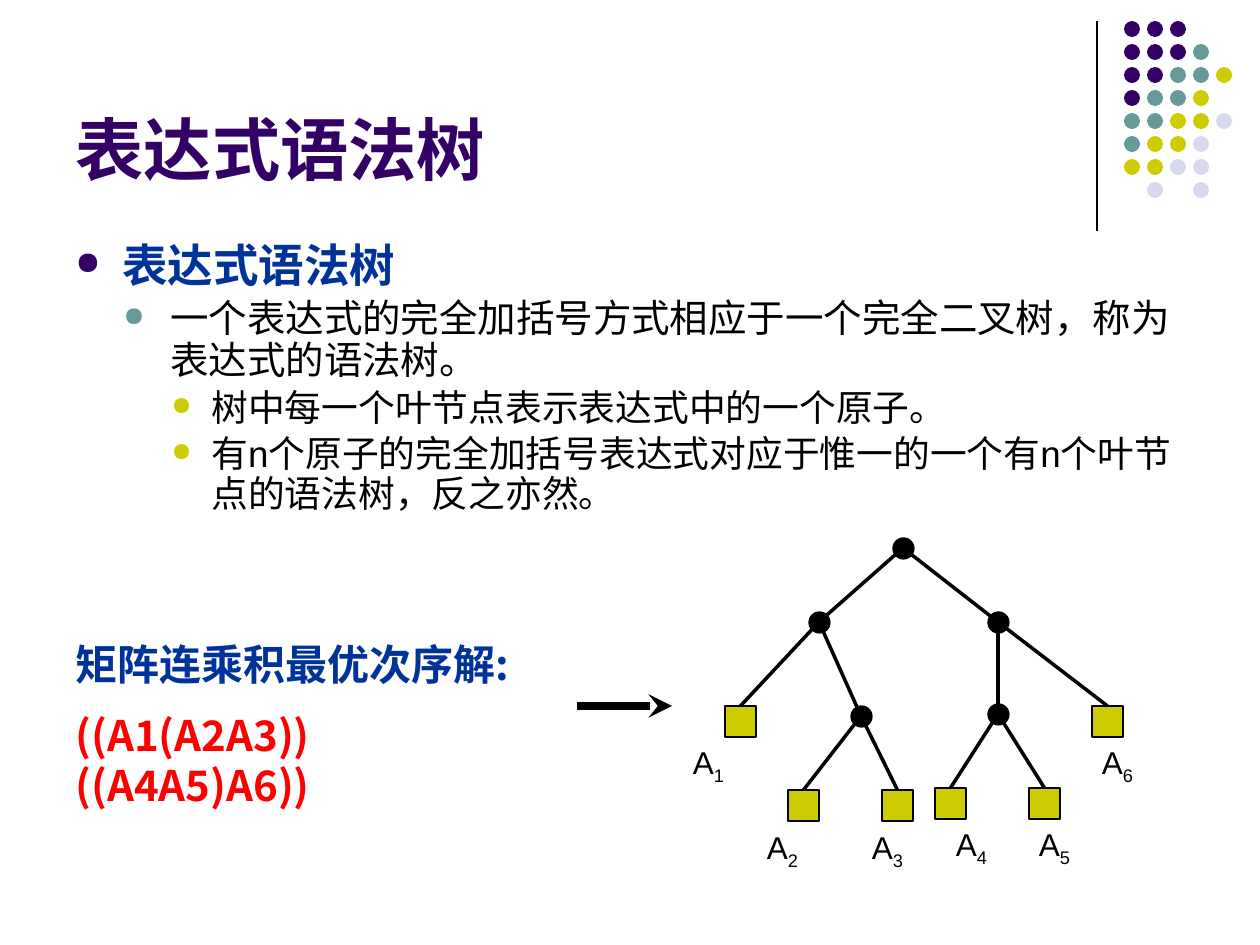
from lxml.etree import SubElement
from pptx import Presentation
from pptx.dml.color import RGBColor
from pptx.enum.shapes import MSO_CONNECTOR as CONNECTOR, MSO_SHAPE as SHAPE
from pptx.enum.text import MSO_ANCHOR as ANCHOR, MSO_AUTO_SIZE as AUTO_SIZE, PP_ALIGN as ALIGN
from pptx.oxml.ns import qn
from pptx.util import Inches, Pt

PX = 914400 // 126  # EMU per px
PURPLE = RGBColor(0x33, 0x00, 0x66)
TEAL = RGBColor(0x66, 0x99, 0x99)
OLIVE = RGBColor(0xCC, 0xCC, 0x00)
LAVENDER = RGBColor(0xD8, 0xD8, 0xEC)
BLUE = RGBColor(0x00, 0x33, 0x99)
RED = RGBColor(0xFF, 0x00, 0x00)
BLACK = RGBColor(0x00, 0x00, 0x00)
LATIN = "Arial"
CJK = "Noto Sans CJK SC"

presentation = Presentation()
presentation.slide_width, presentation.slide_height = Inches(10), Inches(7.5)
slide = presentation.slides.add_slide(presentation.slide_layouts[5])
shapes = slide.shapes


def add_filled(kind, left, top, size, color, outlined=True):
    shape = shapes.add_shape(kind, left * PX, top * PX, size * PX, size * PX)
    shape.shadow.inherit = False
    shape.fill.solid()
    shape.fill.fore_color.rgb = color
    if outlined:
        shape.line.color.rgb = BLACK
        shape.line.width = Pt(0.75)
    else:
        shape.line.fill.background()
    return shape


def add_line(start, end, width):
    line = shapes.add_connector(CONNECTOR.STRAIGHT, *(value * PX for value in start + end))
    line.line.color.rgb = BLACK
    line.line.width = Pt(width)
    SubElement(line._element.spPr, qn("a:effectLst"))
    return line


# Corner decoration: vertical rule and dot grid
add_line((1097, 21), (1097, 231), 0.75)
dot_colors = {"P": PURPLE, "T": TEAL, "O": OLIVE, "L": LAVENDER}
dot_rows = ["PPP", "PPPT", "PPTTO", "PTTO", "TTOOL", "TOOL", "OOLL", " L L"]
for row, codes in enumerate(dot_rows):
    for column, code in enumerate(codes):
        if code in dot_colors:
            add_filled(SHAPE.OVAL, 1124 + 23 * column, 21 + 23 * row, 16,
                       dot_colors[code], outlined=False)

# Title, body and formula text
title = shapes.title
title.left, title.top, title.width, title.height = 63 * PX, 16 * PX, 1040 * PX, 179 * PX
body = shapes.add_textbox(63 * PX, 237 * PX, 1134 * PX, 299 * PX)
formula = shapes.add_textbox(63 * PX, 632 * PX, 480 * PX, 139 * PX)

# Each paragraph: text, size, color, bold, Latin font, space before, bullet
# Each bullet: left margin, hanging indent, color
text_blocks = [
    (title, ANCHOR.BOTTOM, 1.0, [("表达式语法树", 39, PURPLE, True, LATIN, 0, None)]),
    (body, ANCHOR.TOP, 0.9, [
        ("表达式语法树", 26, BLUE, True, LATIN, 5, (47, 47, PURPLE)),
        ("一个表达式的完全加括号方式相应于一个完全二叉树，称为表达式的语法树。",
         22, BLACK, False, LATIN, 4, (95, 47, TEAL)),
        ("树中每一个叶节点表示表达式中的一个原子。",
         21, BLACK, False, LATIN, 4, (136, 40, OLIVE)),
        ("有n个原子的完全加括号表达式对应于惟一的一个有n个叶节点的语法树，反之亦然。",
         21, BLACK, False, LATIN, 4, (136, 40, OLIVE)),
    ]),
    (formula, ANCHOR.TOP, 1.0, [
        ("矩阵连乘积最优次序解:", 24, BLUE, True, CJK, 12, None),
        ("((A1(A2A3))((A4A5)A6))", 24, RED, True, CJK, 12, None),
    ]),
]
for shape, anchor, line_spacing, paragraphs in text_blocks:
    frame = shape.text_frame
    frame.word_wrap = True
    frame.auto_size = AUTO_SIZE.NONE
    frame.vertical_anchor = anchor
    frame.text = "\n".join(item[0] for item in paragraphs)
    for paragraph, item in zip(frame.paragraphs, paragraphs):
        text, size, color, bold, font_name, space_before, bullet = item
        paragraph.alignment = ALIGN.LEFT
        paragraph.line_spacing = line_spacing
        paragraph.space_before = Pt(space_before)
        if bullet:
            margin, hanging, bullet_color = bullet
            properties = paragraph._p.get_or_add_pPr()
            properties.set("marL", str(margin * PX))
            properties.set("indent", str(-hanging * PX))
            color_element = SubElement(properties, qn("a:buClr"))
            SubElement(color_element, qn("a:srgbClr"), val=str(bullet_color))
            SubElement(properties, qn("a:buSzPct"), val="70000")
            SubElement(properties, qn("a:buChar"), char="●")
        font = paragraph.font
        font.size, font.bold, font.name = Pt(size), bold, font_name
        font.color.rgb = color
        SubElement(font._element, qn("a:ea"), typeface=CJK)

# Arrow from the formula to the tree
arrow = add_line((577, 706), (672, 706), 4.5)
SubElement(arrow.line._get_or_add_ln(), qn("a:tailEnd"), type="stealth")

# Inner nodes by centre, and the edges between them
nodes = {
    "root": (903, 548),
    "left": (819, 622),
    "right": (998, 622),
    "left inner": (861, 716),
    "right inner": (998, 714),
}
for x, y in nodes.values():
    add_filled(SHAPE.OVAL, x - 10, y - 10, 21, BLACK)
for parent, child in [("root", "left"), ("root", "right"),
                      ("left", "left inner"), ("right", "right inner")]:
    add_line(nodes[parent], nodes[child], 2)

# Leaves: parent, square corner, label corner
leaves = [
    ("left", (725, 706), (672, 737)),
    ("left inner", (788, 790), (746, 822)),
    ("left inner", (882, 790), (851, 822)),
    ("right inner", (935, 788), (935, 819)),
    ("right inner", (1029, 788), (1018, 819)),
    ("right", (1092, 706), (1081, 737)),
]
for number, (parent, (left, top), (label_left, label_top)) in enumerate(leaves, 1):
    leaf = add_filled(SHAPE.RECTANGLE, left, top, 31, OLIVE)
    edge = add_line(nodes[parent], (left + 15, top), 2)
    edge.end_connect(leaf, 0)

    label = shapes.add_textbox(label_left * PX, label_top * PX, 73 * PX, 50 * PX)
    label.text_frame.word_wrap = True
    paragraph = label.text_frame.paragraphs[0]
    paragraph.alignment = ALIGN.CENTER
    paragraph.space_before = Pt(9)
    paragraph.font.size, paragraph.font.name = Pt(18), LATIN
    paragraph.font.color.rgb = BLACK
    paragraph.add_run().text = "A"
    subscript = paragraph.add_run()
    subscript.text = str(number)
    subscript.font._element.set("baseline", "-25000")

presentation.save("out.pptx")
